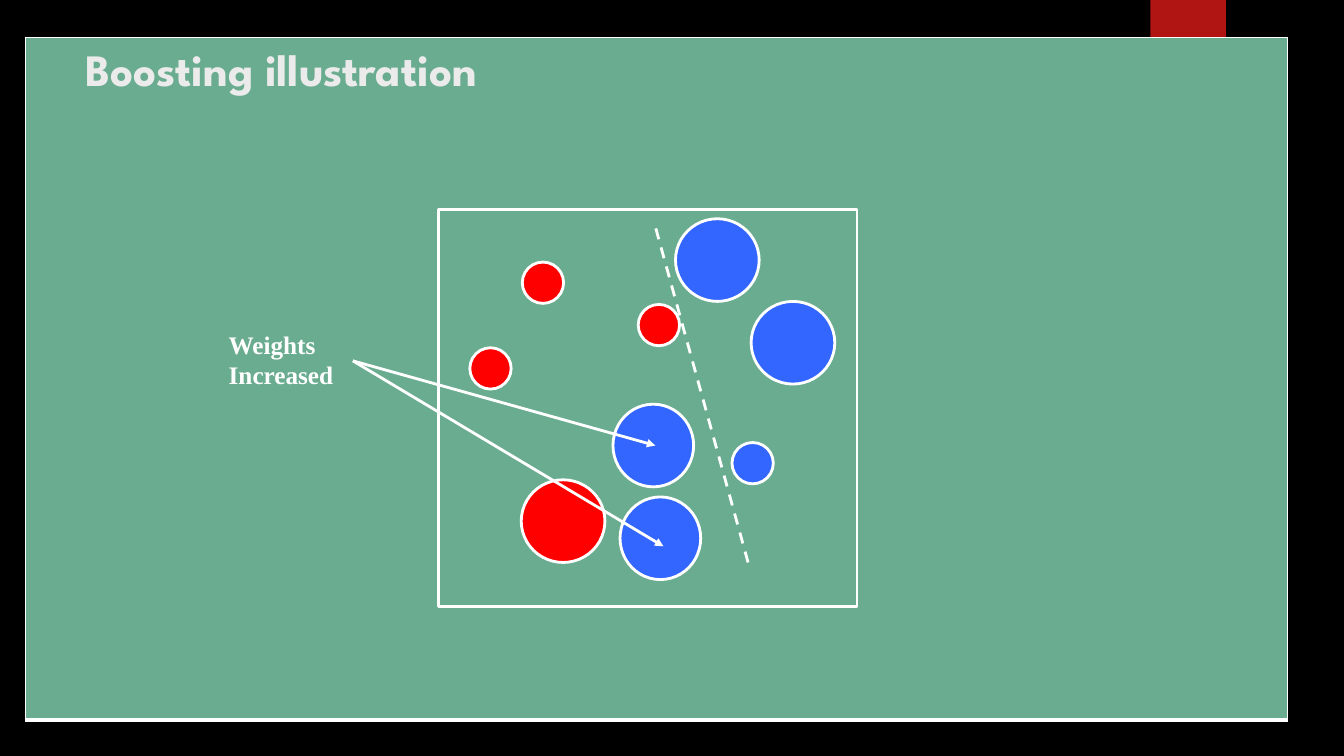
from lxml.etree import SubElement
from pptx import Presentation
from pptx.dml.color import RGBColor as RGB
from pptx.enum.dml import MSO_LINE_DASH_STYLE as DASH
from pptx.enum.shapes import MSO_CONNECTOR as CONN, MSO_SHAPE as SHAPE
from pptx.enum.text import MSO_ANCHOR as ANCHOR, PP_ALIGN as ALIGN
from pptx.oxml.ns import qn
from pptx.util import Inches, Pt

COLORS = {
    "black": "000000",
    "white": "FFFFFF",
    "title": "EBEBEB",
    "tab": "B01513",
    "panel": "6AAC90",
    "red": "FF0000",
    "blue": "3366FF",
}


class Slide:
    line_width = 2

    def __init__(self, prs):
        self.s = prs.slides.add_slide(prs.slide_layouts[6])
        fill = self.s.background.fill
        fill.solid()
        fill.fore_color.rgb = self.color("black")

    def color(self, name):
        return RGB.from_string(COLORS[name])

    def shape(self, kind, box, fill=None, line="white"):
        sp = self.s.shapes.add_shape(kind, *map(Inches, box))
        sp.shadow.inherit = False
        if fill:
            sp.fill.solid()
            sp.fill.fore_color.rgb = self.color(fill)
        else:
            sp.fill.background()
        if line:
            sp.line.color.rgb = self.color(line)
            sp.line.width = Pt(self.line_width)
        else:
            sp.line.fill.background()

    def panel(self, box, fill, borders):
        tbl = self.s.shapes.add_table(1, 1, *map(Inches, box)).table
        tbl.first_row = tbl.horz_banding = False
        cell = tbl.cell(0, 0)
        tc_pr = cell._tc.get_or_add_tcPr()
        for side, width in borders.items():
            ln = SubElement(tc_pr, qn(f"a:ln{side}"), w=str(Pt(width)))
            solid = SubElement(ln, qn("a:solidFill"))
            SubElement(solid, qn("a:srgbClr"), val=COLORS["white"])
        cell.fill.solid()
        cell.fill.fore_color.rgb = self.color(fill)

    def text(self, box, lines, size, font, color, anchor=ANCHOR.TOP, wrap=True):
        tf = self.s.shapes.add_textbox(*map(Inches, box)).text_frame
        tf.word_wrap = wrap
        tf.vertical_anchor = anchor
        for i, line in enumerate(lines):
            p = tf.paragraphs[0] if i == 0 else tf.add_paragraph()
            p.text = line
            p.alignment = ALIGN.LEFT
            p.font.size = Pt(size)
            p.font.name = font
            p.font.bold = True
            p.font.color.rgb = self.color(color)

    def connector(self, start, end, dash=None, arrow=False):
        cxn = self.s.shapes.add_connector(CONN.STRAIGHT, *map(Inches, start + end))
        cxn.line.color.rgb = self.color("white")
        cxn.line.width = Pt(self.line_width)
        if dash:
            cxn.line.dash_style = dash
        if arrow:
            SubElement(cxn.line._get_or_add_ln(), qn("a:tailEnd"), type="triangle")
        SubElement(cxn._element.spPr, qn("a:effectLst"))


def main():
    prs = Presentation()
    prs.slide_width, prs.slide_height = Inches(13.33), Inches(7.5)
    slide = Slide(prs)

    slide.shape(SHAPE.RECTANGLE, (11.41, 0, 0.75, 1.25), "tab", line=None)
    slide.panel((0.25, 0.37, 12.52, 6.77), "panel", {"L": 1, "R": 1, "T": 1, "B": 3})
    slide.text((0.75, 0.08, 8.5, 0.92), ["Boosting illustration"], 32,
               "League Spartan", "title", ANCHOR.BOTTOM)

    small, large, raised = (0.41, 0.41), (0.83, 0.82), (0.8, 0.82)
    samples = [
        (5.18, 2.6, small, "red"),
        (6.7, 2.17, large, "blue"),
        (7.45, 2.99, large, "blue"),
        (7.26, 4.39, small, "blue"),
        (6.08, 4.01, raised, "blue"),
        (6.15, 4.93, raised, "blue"),
        (6.33, 3.02, small, "red"),
        (4.66, 3.45, small, "red"),
        (5.17, 4.76, large, "red"),
    ]
    for left, top, size, color in samples:
        slide.shape(SHAPE.OVAL, (left, top, *size), color)
    slide.shape(SHAPE.RECTANGLE, (4.35, 2.08, 4.15, 3.94))

    slide.text((2.17, 3.22, 1.24, 0.7), ["Weights", "Increased"], 18,
               "Times New Roman", "white", wrap=False)
    for target in [(6.5, 4.42), (6.58, 5.42)]:
        slide.connector((3.5, 3.58), target, arrow=True)
    slide.connector((7.42, 5.58), (6.5, 2.25), dash=DASH.DASH)

    prs.save("out.pptx")


if __name__ == "__main__":
    main()
